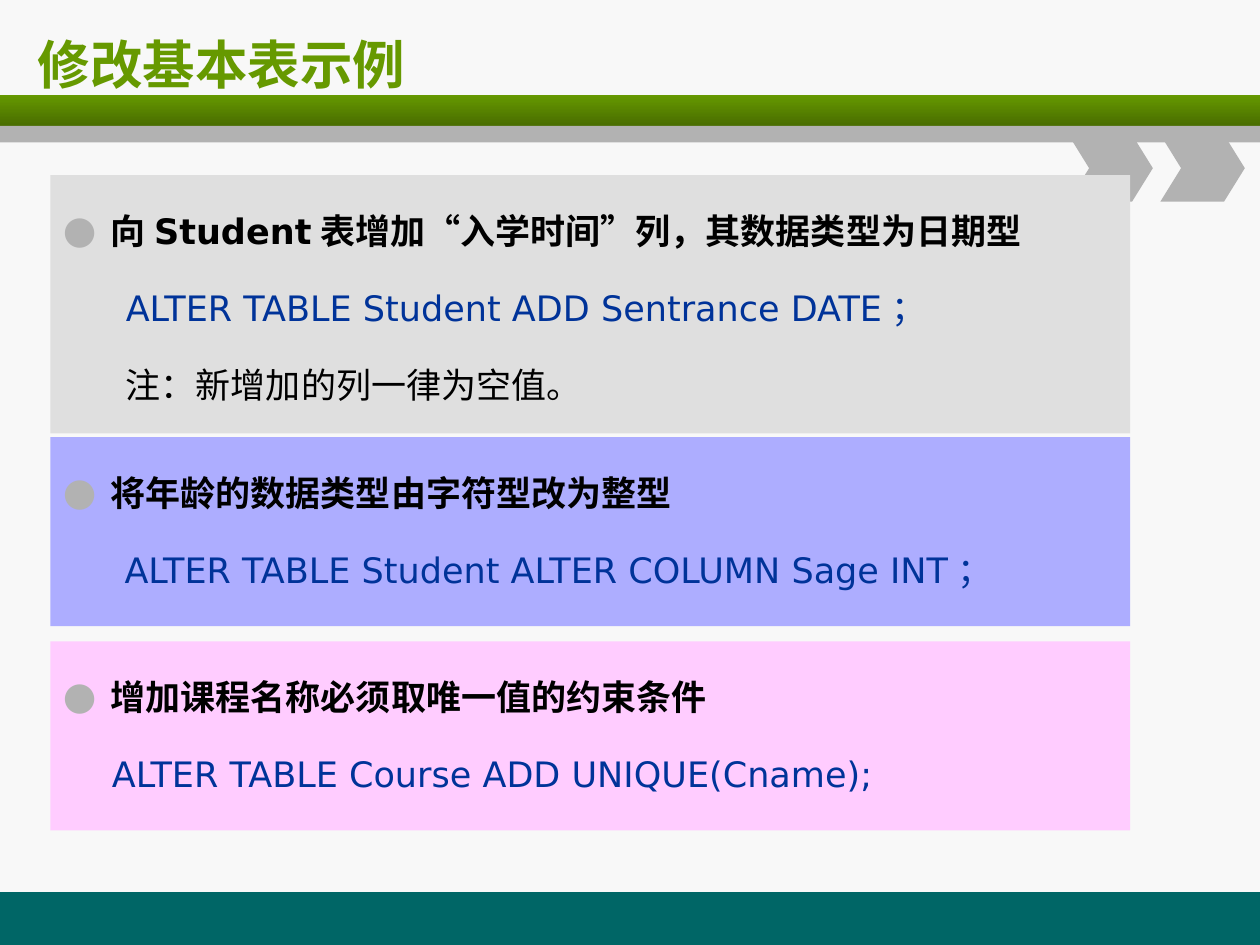
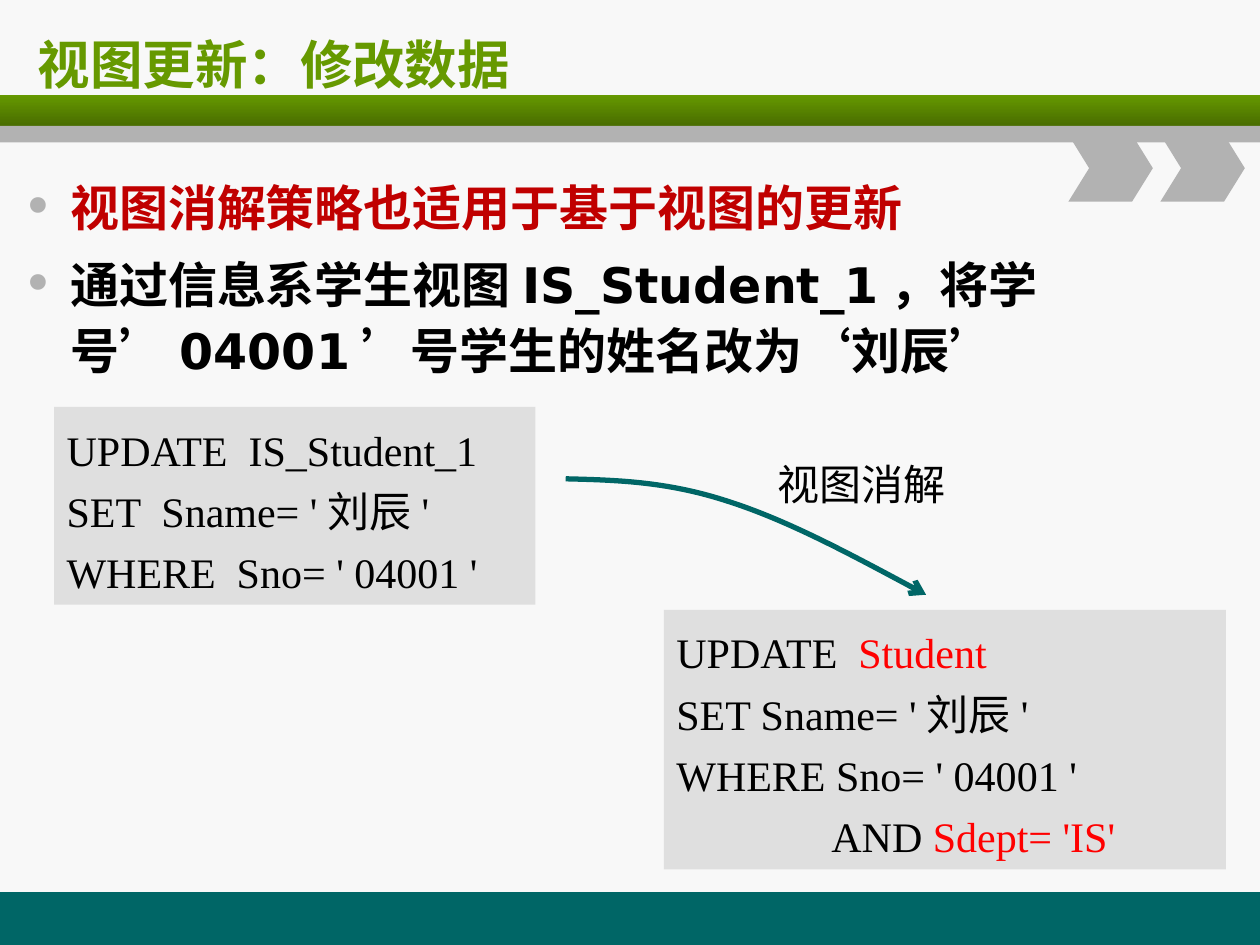
from lxml import etree
from pptx import Presentation, util as u
from pptx.dml.color import RGBColor
from pptx.enum import lang, shapes, text
from pptx.oxml.ns import qn

rgb = RGBColor.from_string
GREEN, TEAL, SILVER, PANEL = "669900", "006666", "B2B2B2", "DFDFDF"
BLACK, NAVY, RED, CRIMSON = "000000", "003399", "FF0000", "C00000"
SANS, SERIF, MONO, CJK = "DejaVu Sans", "Times New Roman", "Courier New", "Noto Sans CJK SC"
RECT, CHEVRON = shapes.MSO_SHAPE.RECTANGLE, shapes.MSO_SHAPE.CHEVRON
LEFT, RIGHT, JUSTIFY = text.PP_ALIGN.LEFT, text.PP_ALIGN.RIGHT, text.PP_ALIGN.JUSTIFY


def add_box(s, at, fill=None, kind=RECT):
    at = [u.Inches(v) for v in at]
    if fill is None:
        sp = s.shapes.add_textbox(*at)
    else:
        sp = s.shapes.add_shape(kind, *at)
        sp.shadow.inherit = False
        sp.fill.solid()
        sp.fill.fore_color.rgb = rgb(fill)
        sp.line.fill.background()
    sp.text_frame.word_wrap = True
    sp.text_frame.vertical_anchor = text.MSO_ANCHOR.TOP
    return sp


def add_para(tf, runs, para, font, bullet=None, indent=0):
    p = tf.paragraphs[0]
    if p.runs:
        p = tf.add_paragraph()
    for name, value in {"alignment": LEFT, **para}.items():
        setattr(p, name, value)
    pPr = p._p.get_or_add_pPr()
    pPr.set("marL", str(u.Inches(indent)))
    pPr.set("indent", str(u.Inches(-indent if bullet else 0)))
    if bullet:
        clr = etree.SubElement(pPr, qn("a:buClr"))
        etree.SubElement(clr, qn("a:srgbClr"), val=SILVER)
        etree.SubElement(pPr, qn("a:buSzPct"), val="110000")
        etree.SubElement(pPr, qn("a:buFont"), typeface=SANS)
        etree.SubElement(pPr, qn("a:buChar"), char=bullet)
    else:
        etree.SubElement(pPr, qn("a:buNone"))
    for words, extra in runs:
        r = p.add_run()
        r.text = words
        fmt = {"bold": False, "color": BLACK, **font, **extra}
        r.font.color.rgb = rgb(fmt.pop("color"))
        r.font.language_id = lang.MSO_LANGUAGE_ID.SIMPLIFIED_CHINESE
        for name, value in fmt.items():
            setattr(r.font, name, value)
        etree.SubElement(r.font._element, qn("a:ea"), typeface=CJK)


prs = Presentation()
prs.slide_width, prs.slide_height = u.Inches(10), u.Inches(7.5)

slides = []
for title in ["修改基本表示例", "视图更新：修改数据"]:
    s = prs.slides.add_slide(prs.slide_layouts[6])
    s.background.fill.solid()
    s.background.fill.fore_color.rgb = rgb("F8F8F8")
    add_box(s, (0, 7.08, 10, 0.42), TEAL)
    band = add_box(s, (0, 0.75, 10, 0.25), GREEN)
    band.fill.gradient()
    band.fill.gradient_angle = 270
    for stop, position, color in zip(band.fill.gradient_stops, (0, 1), (GREEN, "496D00")):
        stop.position = position
        stop.color.rgb = rgb(color)
    add_box(s, (0, 1, 10, 0.13), SILVER)
    for x in (8.48, 9.21):
        sp = add_box(s, (x, 1.07, 0.67, 0.53), SILVER, CHEVRON)
        sp.adjustments[0] = 0.31
    tf = add_box(s, (0.2, 0.17, 9.55, 0.67)).text_frame
    tf.vertical_anchor = text.MSO_ANCHOR.MIDDLE
    add_para(tf, [(title, {})], {},
             {"name": SANS, "size": u.Pt(30), "bold": True, "color": GREEN})
    slides.append(s)

s = slides[0]
font = {"name": SANS, "size": u.Pt(20)}
head = {"bold": True}
sql = {"color": NAVY}
quote = {"bold": True, "name": MONO}
panels = [
    (3.47, 1.5, "ADADFF", LEFT, 0.49,
     [("将年龄的数据类型由字符型改为整型", head)],
     [("ALTER TABLE Student ALTER COLUMN Sage INT；", sql)]),
    (1.39, 2.05, PANEL, JUSTIFY, 0.5,
     [("向Student表增加", head), ("“", quote), ("入学时间", head), ("”", quote),
      ("列，其数据类型为日期型", head)],
     [("ALTER TABLE Student ADD Sentrance DATE；", sql), ("注：新增加的列一律为空值。", {})]),
    (5.09, 1.5, "FFCCFF", LEFT, 0.39,
     [("增加课程名称必须取唯一值的约束条件", head)],
     [("ALTER TABLE Course ADD UNIQUE(Cname);", sql)]),
]
for top, height, fill, align, indent, heading, lines in panels:
    tf = add_box(s, (0.4, top, 8.57, height), fill).text_frame
    para = {"alignment": align, "line_spacing": u.Pt(40), "space_before": u.Pt(4)}
    add_para(tf, heading, para, font, "●", 0.38)
    for line in lines:
        add_para(tf, [line], para, font, indent=indent)

s = slides[1]
tf = add_box(s, (0.08, 1.3, 9.8, 1.82)).text_frame
tf.margin_right = u.Inches(1.4)
para = {"line_spacing": u.Pt(38), "space_before": u.Pt(5.6)}
for words, color in [
    ("视图消解策略也适用于基于视图的更新", CRIMSON),
    ("通过信息系学生视图IS_Student_1，将学号’04001’号学生的姓名改为‘刘辰’", BLACK),
]:
    add_para(tf, [(words, {"color": color})], para,
             {"name": SANS, "size": u.Pt(28), "bold": True}, "•", 0.38)

red = {"color": RED}
statements = [
    ((5.27, 4.84, 4.46, 2.06), [
        (0, [("UPDATE  ", {}), ("Student", red)]),
        (0, [("SET Sname= '刘辰'", {})]),
        (0, [("WHERE Sno= ' 04001 '", {})]),
        (1.23, [("AND ", {}), ("Sdept= 'IS'", red)])]),
    ((0.43, 3.23, 3.82, 1.57), [
        (0, [("UPDATE  IS_Student_1", {})]),
        (0, [("SET  Sname= '刘辰'", {})]),
        (0, [("WHERE  Sno= ' 04001 '", {})])]),
]
for at, lines in statements:
    tf = add_box(s, at, PANEL).text_frame
    for indent, runs in lines:
        add_para(tf, runs, {"line_spacing": u.Pt(35)},
                 {"name": SERIF, "size": u.Pt(24)}, indent=indent)

points = [(4.49, 3.8), (4.88, 3.81), (5.28, 3.82), (5.75, 3.97),
          (6.23, 4.12), (6.79, 4.42), (7.35, 4.72)]
points = [(u.Inches(x), u.Inches(y)) for x, y in points]
fb = s.shapes.build_freeform(*points[0])
fb.add_line_segments(points[1:], close=False)
sp = fb.convert_to_shape()
sp.shadow.inherit = False
sp.fill.background()
sp.line.color.rgb = rgb(TEAL)
sp.line.width = u.Pt(3)
etree.SubElement(sp.line._get_or_add_ln(), qn("a:tailEnd"), type="arrow")
segments = list(sp._element.iter(qn("a:lnTo")))
for i in range(0, len(segments), 3):
    curve = etree.Element(qn("a:cubicBezTo"))
    segments[i].addprevious(curve)
    for segment in segments[i:i + 3]:
        curve.append(segment[0])
        segment.getparent().remove(segment)

tf = add_box(s, (6.05, 3.59, 1.55, 0.5)).text_frame
tf.word_wrap = False
add_para(tf, [("视图消解", {})], {"alignment": RIGHT}, {"name": CJK, "size": u.Pt(24)})

prs.save("out.pptx")
